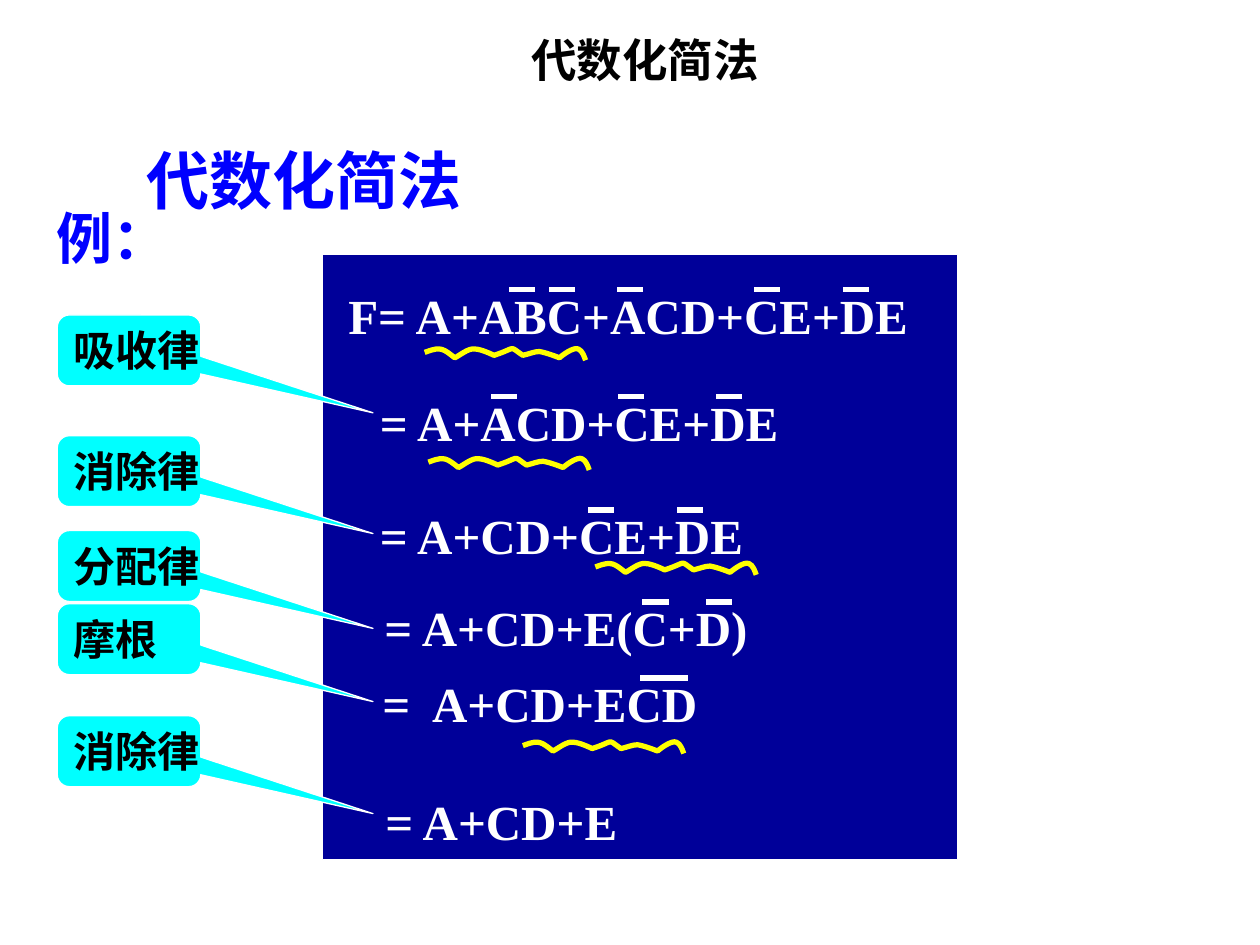
from itertools import chain

from pptx import Presentation
from pptx.dml.color import RGBColor
from pptx.enum.shapes import MSO_CONNECTOR as Connector, MSO_SHAPE as Shape
from pptx.enum.text import MSO_ANCHOR as Anchor, MSO_AUTO_SIZE as AutoSize, PP_ALIGN as Align
from pptx.oxml.ns import qn
from pptx.oxml.xmlchemy import OxmlElement
from pptx.util import Pt

WHITE = RGBColor(0xFF, 0xFF, 0xFF)
BLACK = RGBColor(0x00, 0x00, 0x00)
NAVY = RGBColor(0x00, 0x00, 0x99)
BLUE = RGBColor(0x00, 0x00, 0xFF)
CYAN = RGBColor(0x00, 0xFF, 0xFF)
YELLOW = RGBColor(0xFF, 0xFF, 0x00)
SERIF, SANS = "Times New Roman", "Arial"


def write(box, text, size, color, font, align=Align.LEFT):
    frame = box.text_frame
    frame.text = text
    frame.vertical_anchor = Anchor.TOP
    para = frame.paragraphs[0]
    para.alignment = align
    span = para.runs[0]
    span.font.size, span.font.bold, span.font.name = Pt(size), True, font
    span.font.color.rgb = color
    return frame


def place_text(box, left, top, width, height, text, size, color, font, align=Align.LEFT):
    box.left, box.top, box.width, box.height = Pt(left), Pt(top), Pt(width), Pt(height)
    frame = write(box, text, size, color, font, align)
    frame.word_wrap = True
    frame.auto_size = AutoSize.SHAPE_TO_FIT_TEXT
    spacing = OxmlElement("a:spcBef")
    percent = OxmlElement("a:spcPct")
    percent.set("val", "50000")
    spacing.append(percent)
    frame.paragraphs[0]._p.get_or_add_pPr().append(spacing)


deck = Presentation()
deck.slide_width, deck.slide_height = Pt(720), Pt(540)
page = deck.slides.add_slide(deck.slide_layouts[5])
shapes = page.shapes
strokes = []

panel = shapes.add_shape(Shape.RECTANGLE, Pt(184.25), Pt(145.5), Pt(363), Pt(345.75))
panel.shadow.inherit = False
panel.fill.solid()
panel.fill.fore_color.rgb = NAVY
panel.line.color.rgb = WHITE
panel.line.width = Pt(0.75)

BAR = 12
formulas = [
    ("F= A+ABC+ACD+CE+DE", 192, 159.5, 348, 165.5,
     [(292.4, BAR), (315, BAR), (354, BAR), (432.2, BAR), (483.3, BAR)]),
    ("= A+ACD+CE+DE", 210, 220.7, 252, 226.6, [(282, BAR), (354.4, BAR), (410.6, BAR)]),
    ("= A+CD+CE+DE", 210, 285.1, 258, 291.5, [(337.5, BAR), (388.2, BAR)]),
    ("= A+CD+E(C+D)", 212.6, 337.7, 264, 344, [(368.6, BAR), (404.7, BAR)]),
    ("=  A+CD+ECD", 211.5, 381.6, 210, 387.4, [(367.2, 24.5)]),
    ("= A+CD+E", 213.1, 448.6, 252, 0, []),
]
for text, left, top, width, bar_top, bars in formulas:
    box = shapes.add_textbox(0, 0, 0, 0)
    place_text(box, left, top, width, 41, text, 28, WHITE, SERIF)
    for start, length in bars:
        bar = shapes.add_connector(
            Connector.STRAIGHT, Pt(start), Pt(bar_top), Pt(start + length), Pt(bar_top))
        strokes.append((bar, WHITE))
        bar.line.color.rgb = WHITE
        bar._element.spPr.append(OxmlElement("a:effectLst"))

wave_start = (0, 3.6)
wave_curves = [
    ((7.9, 0.7), (9.4, 2.2), (15.8, 7.2)),
    ((18.7, 5.8), (23.8, 1.4), (27.4, 2.2)),
    ((31, 2.2), (38.2, 5.8), (38.2, 5.8)),
    ((51.8, 1.4), (46.1, 0), (54.7, 5.8)),
    ((58.3, 5), (61.2, 3.6), (64.1, 3.6)),
    ((68.4, 4.3), (75.6, 7.2), (75.6, 7.2)),
    ((76.3, 6.5), (83.5, 0.7), (86.4, 2.2)),
    ((88.6, 2.9), (90, 7.2), (90, 7.2)),
]
for left, top in [(244.1, 197.3), (246.2, 260), (341.6, 319.9), (300.2, 422)]:
    corners = [(Pt(left + x), Pt(top + y)) for x, y in chain([wave_start], *wave_curves)]
    builder = shapes.build_freeform(*corners[0])
    builder.add_line_segments(corners[1:], close=False)
    wave = builder.convert_to_shape()
    segments = list(wave._element.iter(qn("a:lnTo")))
    for index in range(0, len(segments), 3):
        curve = OxmlElement("a:cubicBezTo")
        segments[index].addprevious(curve)
        for segment in segments[index:index + 3]:
            curve.append(segment[0])
            segment.getparent().remove(segment)
    wave.shadow.inherit = False
    wave.fill.background()
    strokes.append((wave, YELLOW))

for stroke, color in strokes:
    stroke.line.color.rgb = color
    stroke.line.width = Pt(3)
    stroke._element.spPr.find(qn("a:ln")).set("cap", "sq")

place_text(shapes.title, 88, 14.6, 561.6, 38.2, "代数化简法", 26, BLACK, SANS, Align.CENTER)
place_text(shapes.add_textbox(0, 0, 0, 0), 76.6, 77.4, 380, 51, "代数化简法", 36, BLUE, SANS)
place_text(shapes.add_textbox(0, 0, 0, 0), 25.2, 113, 73.4, 46, "例：", 32, BLUE, SERIF)

laws = [("吸收律", 180), ("消除律", 249), ("分配律", 303.2), ("摩根", 345), ("消除律", 409)]
for law, top in laws:
    callout = shapes.add_shape(
        Shape.ROUNDED_RECTANGULAR_CALLOUT, Pt(32.75), Pt(top), Pt(82), Pt(40.5))
    callout.adjustments[0] = 1.7
    callout.adjustments[1] = 0.88
    callout.adjustments[2] = 0.17
    callout.shadow.inherit = False
    callout.fill.solid()
    callout.fill.fore_color.rgb = CYAN
    callout.line.color.rgb = WHITE
    callout.line.width = Pt(0.75)
    write(callout, law, 24, BLACK, SERIF).word_wrap = False

deck.save("out.pptx")
